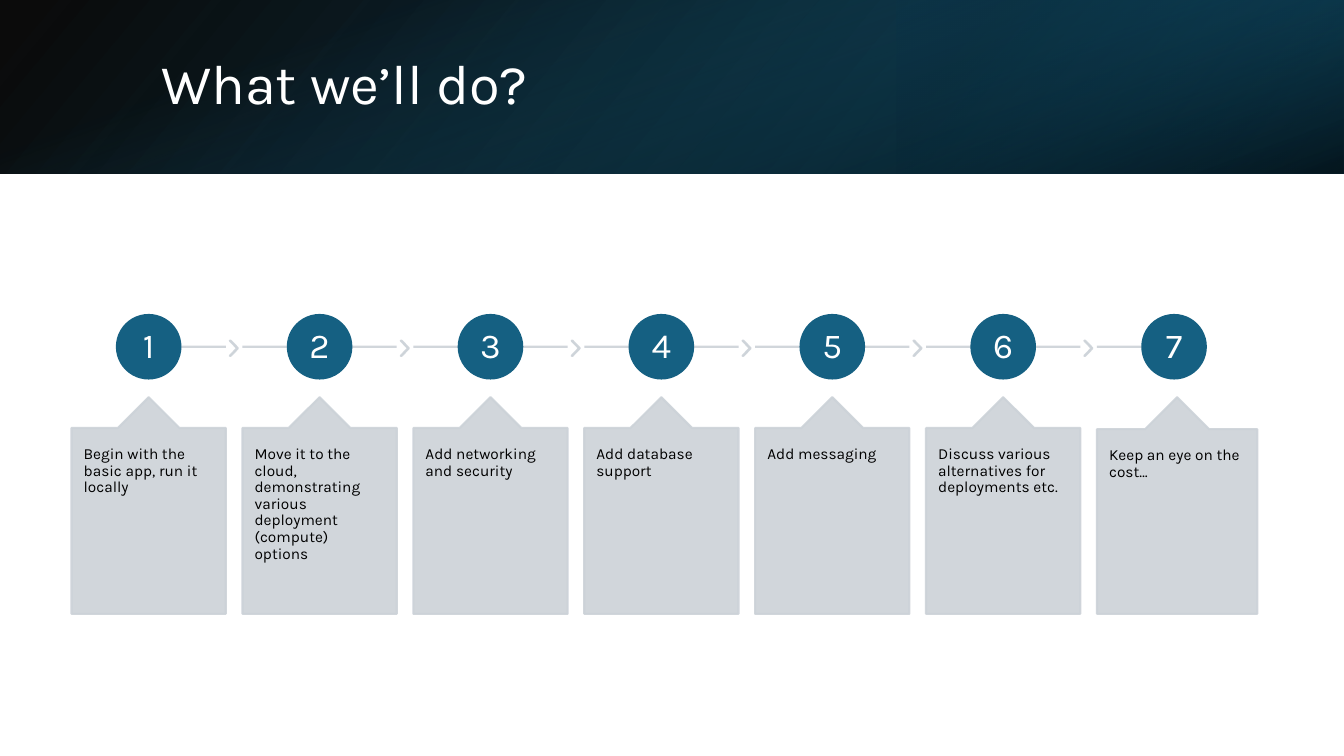
from dataclasses import dataclass

import lxml.etree
import pptx
import pptx.dml.color
import pptx.enum.shapes
import pptx.enum.text
import pptx.oxml.ns
import pptx.util

Inches = pptx.util.Inches
Pt = pptx.util.Pt
Kind = pptx.enum.shapes.MSO_SHAPE
Align = pptx.enum.text.PP_ALIGN
Anchor = pptx.enum.text.MSO_ANCHOR
qn = pptx.oxml.ns.qn


@dataclass(frozen=True)
class Theme:
    font: str = "Karla"
    blue: str = "156082"
    deep: str = "104862"
    navy: str = "0B3041"
    grey: str = "CCD2D8"
    black: str = "000000"
    white: str = "FFFFFF"
    title: int = 40
    digit: int = 25
    body: int = 11
    line: float = 1.5
    solid: int = 90


THEME = Theme()
TASKS = [
    "Begin with the basic app, run it locally",
    "Move it to the cloud, demonstrating various deployment (compute) options",
    "Add networking and security",
    "Add database support",
    "Add messaging",
    "Discuss various alternatives for deployments etc.",
    "Keep an eye on the cost…",
]
LAST = len(TASKS) - 1
LEFT = 0.71
STEP = (10.88 - LEFT) / LAST
WIDTH = 1.53
WIDE = 1.59
AXIS = 3.44
DISC = 0.65
BAND = 1.72


def rgb(code):
    return pptx.dml.color.RGBColor.from_string(code)


def fade(shape, *alphas):
    """Set the opacity, in percent, of each colour of the shape in turn."""
    colors = list(shape._element.spPr.iter(qn("a:srgbClr")))
    for color, alpha in zip(colors, alphas):
        lxml.etree.SubElement(color, qn("a:alpha"), val=str(alpha * 1000))


def write(frame, text, size, color, align, anchor, inset=(0.1, 0.05)):
    frame.word_wrap = True
    frame.auto_size = pptx.enum.text.MSO_AUTO_SIZE.NONE
    frame.vertical_anchor = anchor
    frame.margin_left = frame.margin_right = Inches(inset[0])
    frame.margin_top = frame.margin_bottom = Inches(inset[1])
    frame.text = text
    par = frame.paragraphs[0]
    par.alignment = align
    par.line_spacing = 0.9
    par.font.name = THEME.font
    par.font.size = Pt(size)
    par.font.color.rgb = rgb(color)


def add_form(slide, kind, box, color):
    shape = slide.shapes.add_shape(kind, *map(Inches, box))
    shape.shadow.inherit = False
    shape.fill.solid()
    shape.fill.fore_color.rgb = rgb(color)
    shape.line.color.rgb = rgb(color)
    shape.line.width = Pt(THEME.line)
    return shape


def add_band(slide, left, width, angle, stops):
    """Draw one header layer; stops are (position, colour, opacity)."""
    band = add_form(slide, Kind.RECTANGLE, (left, 0, width, BAND), THEME.black)
    band.line.fill.background()
    band.fill.gradient()
    band.fill.gradient_angle = 360 - angle
    for stop, (place, color, _) in zip(band.fill.gradient_stops, stops):
        stop.position = place / 100
        stop.color.rgb = rgb(color)
    fade(band, *[alpha for _, _, alpha in stops])


def add_header(slide):
    add_band(slide, 0, 13.33, 40,
             [(0, THEME.black, 96), (100, THEME.deep, 100)])
    add_band(slide, 8.89, 4.44, 40,
             [(19, THEME.navy, 68), (100, THEME.blue, 79)])
    add_band(slide, 0, 13.33, 70,
             [(23, THEME.blue, 0), (99, THEME.black, 74)])


def add_title(slide, text):
    title = slide.shapes.title
    title.left, title.top = Inches(1.5), Inches(0.38)
    title.width, title.height = Inches(10.98), Inches(0.96)
    write(title.text_frame, text, THEME.title, THEME.white,
          Align.LEFT, Anchor.MIDDLE)
    slide.shapes._spTree.append(title._element)  # bring in front of the header


def add_rail(slide, start, end):
    rail = slide.shapes.add_connector(
        pptx.enum.shapes.MSO_CONNECTOR.STRAIGHT,
        Inches(start), Inches(AXIS), Inches(end), Inches(AXIS))
    rail.line.color.rgb = rgb(THEME.grey)
    rail.line.width = Pt(THEME.line)
    fade(rail, THEME.solid)
    lxml.etree.SubElement(rail._element.spPr, qn("a:effectLst"))


def add_mark(slide, left):
    mark = add_form(slide, Kind.CHEVRON, (left, 3.38, 0.08, 0.15), THEME.grey)
    mark.adjustments[0] = 0.9
    fade(mark, THEME.solid, THEME.solid)


def add_disc(slide, mid, text):
    size = DISC - 0.02
    disc = add_form(slide, Kind.OVAL,
                    (mid - size / 2, AXIS - size / 2, size, size), THEME.blue)
    write(disc.text_frame, text, THEME.digit, THEME.white,
          Align.CENTER, Anchor.MIDDLE, (0.02, 0.02))


def add_card(slide, left, width, text):
    card = add_form(slide, Kind.UP_ARROW_CALLOUT,
                    (left, 3.94, width, 2.15), THEME.grey)
    for index, value in enumerate((0.5, 0.2, 0.2, 1)):
        card.adjustments[index] = value
    fade(card, THEME.solid, THEME.solid)
    write(card.text_frame, text, THEME.body, THEME.black,
          Align.LEFT, Anchor.TOP, (0.12, 0.18))


def add_step(slide, index, text):
    left = LEFT + index * STEP
    mid, right = left + WIDTH / 2, left + WIDTH
    add_rail(slide, left if index else mid, right if index < LAST else mid)
    if index < LAST:
        add_mark(slide, right + 0.04)
    add_disc(slide, mid, str(index + 1))
    add_card(slide, left, WIDTH if index < LAST else WIDE, text)


def main():
    deck = pptx.Presentation()
    deck.slide_width, deck.slide_height = Inches(13.33), Inches(7.5)
    slide = deck.slides.add_slide(deck.slide_layouts.get_by_name("Title Only"))
    add_header(slide)
    add_title(slide, "What we’ll do?")
    for index, text in enumerate(TASKS):
        add_step(slide, index, text)
    deck.save("out.pptx")


if __name__ == "__main__":
    main()
